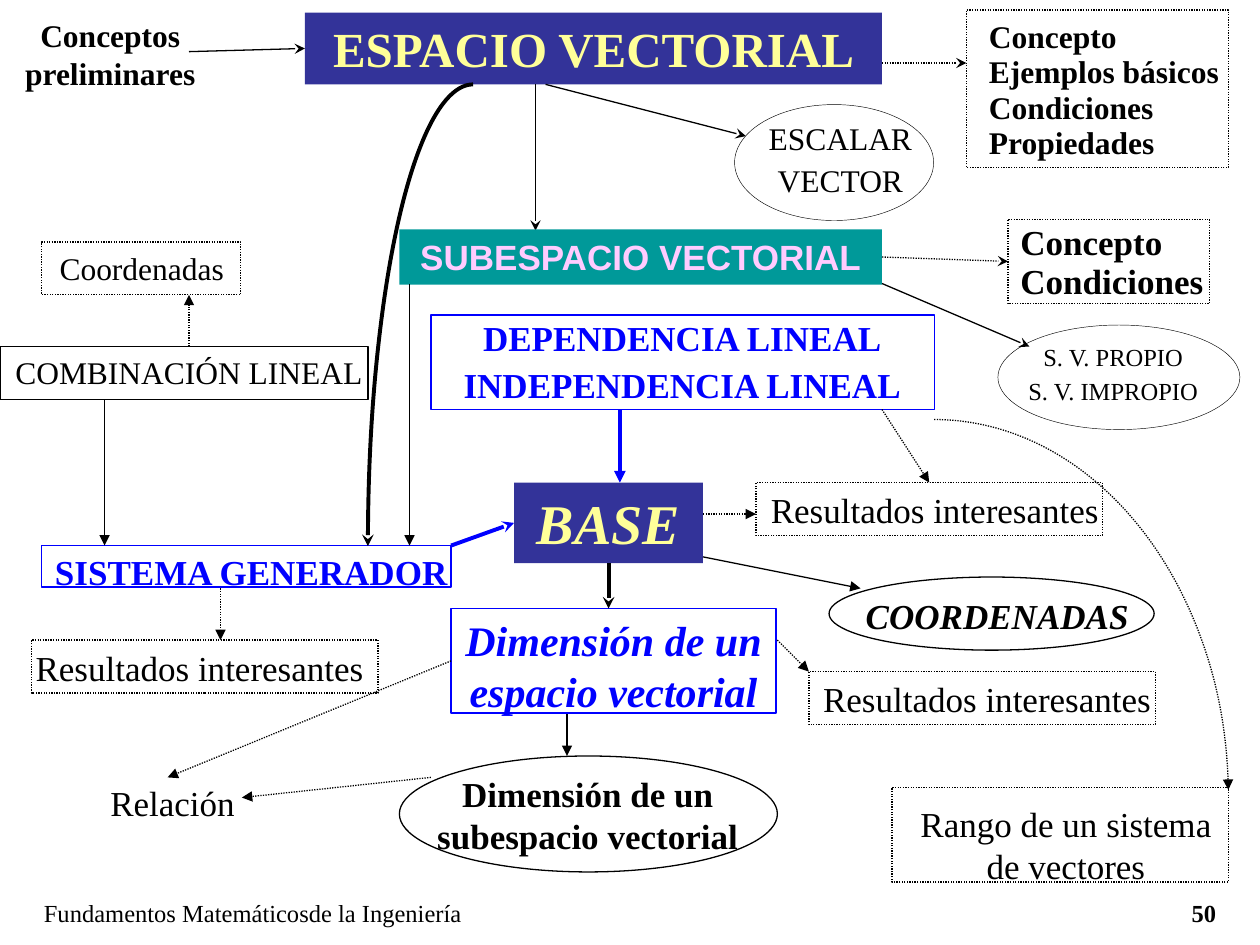
from dataclasses import dataclass
from typing import Any

from lxml.etree import SubElement
from pptx import Presentation
from pptx.dml.color import RGBColor
from pptx.enum.dml import MSO_LINE_DASH_STYLE as Dash
from pptx.enum.shapes import MSO_CONNECTOR as Connector, MSO_SHAPE as Shape
from pptx.enum.text import MSO_ANCHOR as Anchor, PP_ALIGN as Align
from pptx.oxml.ns import qn
from pptx.util import Inches, Pt

COLORS = {"navy": "333399", "teal": "009999", "yellow": "FFFF99",
          "pink": "FFCCFF", "blue": "0000FF", "black": "000000"}
SERIF = "Times New Roman"
TOP, LEFT, BOTTOM, RIGHT = range(4)
RESULTS = "Resultados interesantes"


def rgb(name):
    return RGBColor.from_string(COLORS[name])


def style_line(line, color="black", width=0.75, dotted=False):
    line.color.rgb = rgb(color)
    line.width = Pt(width)
    if dotted:
        line.dash_style = Dash.ROUND_DOT


def add_arrowhead(shape, end, kind):
    SubElement(shape.line._get_or_add_ln(), qn(f"a:{end}"), type=kind)


def write(box, lines, size=20, color="black", font=SERIF, bold=False, italic=False,
          align=Align.CENTER, spacing=None, before=0, anchor=Anchor.TOP, wrap=True):
    frame = box.text_frame
    frame.word_wrap = wrap
    frame.vertical_anchor = anchor
    for index, line in enumerate(lines):
        para = frame.paragraphs[0] if index == 0 else frame.add_paragraph()
        para.text = line
        para.alignment = align
        para.line_spacing = spacing
        para.space_before = Pt(before if index else 0)
        para.font.name = font
        para.font.size = Pt(size)
        para.font.bold = bold
        para.font.italic = italic
        para.font.color.rgb = rgb(color)


@dataclass
class Region:
    page: Any
    left: float
    top: float

    def place(self, left, top, width=0, height=0):
        return [Inches(round(value, 2)) for value in
                (self.left + left, self.top + top, width, height)]

    def text(self, at, *lines, **style):
        write(self.page.shapes.add_textbox(*self.place(*at)), lines, **style)

    def banner(self, at, line, fill, **style):
        banner = self.page.shapes.add_shape(Shape.RECTANGLE, *self.place(*at))
        banner.shadow.inherit = False
        banner.fill.solid()
        banner.fill.fore_color.rgb = rgb(fill)
        banner.line.fill.background()
        write(banner, [line], bold=True, **style)
        return banner

    def outline(self, at, kind=Shape.RECTANGLE, **line):
        outline = self.page.shapes.add_shape(kind, *self.place(*at))
        outline.shadow.inherit = False
        outline.fill.background()
        style_line(outline.line, **line)
        return outline

    def arrow(self, start, end, head="triangle", begin=None, finish=None, **line):
        arrow = self.page.shapes.add_connector(
            Connector.STRAIGHT, *self.place(*start)[:2], *self.place(*end)[:2])
        if begin:
            arrow.begin_connect(*begin)
        if finish:
            arrow.end_connect(*finish)
        style_line(arrow.line, **line)
        add_arrowhead(arrow, "tailEnd", head)
        SubElement(arrow._element.spPr, qn("a:effectLst"))

    def arc(self, at, angles, end, head, **line):
        arc = self.outline(at, Shape.ARC, **line)
        for index, degrees in enumerate(angles):
            arc.adjustments[index] = degrees * 0.6
        add_arrowhead(arc, end, head)


def draw_vector_space(page, left, top):
    region = Region(page, left, top)
    space = region.banner((2.42, 0.02, 4.58, 0.57), "ESPACIO VECTORIAL", "navy",
                          size=28, color="yellow")
    region.text((0, 0, 1.75, 0.7), "Conceptos preliminares", size=18, bold=True)
    region.arrow((1.5, 0.33), (2.42, 0.33), "stealth", finish=(space, LEFT))
    region.outline((7.67, 0, 2.08, 1.25), dotted=True)
    region.text((7.75, 0.16, 2.25, 1.06), "Concepto", "Ejemplos básicos", "Condiciones",
                "Propiedades", size=18, bold=True, align=Align.LEFT, spacing=0.4,
                before=11.4, anchor=Anchor.MIDDLE)
    region.arrow((7, 0.42), (7.67, 0.42), "stealth", dotted=True)
    region.outline((5.83, 0.75, 1.58, 0.92), Shape.OVAL, width=0.25)
    region.text((5.92, 0.92, 1.5, 0.62), "ESCALAR", "VECTOR", size=18, spacing=0.6,
                before=11.4)
    region.arrow((4.33, 0.59), (5.92, 1), "stealth")
    region.arrow((4.25, 0.59), (4.25, 1.75), "stealth")


def draw_subspace(page, left, top):
    region = Region(page, left, top)
    subspace = region.banner((0, 0.08, 3.83, 0.44), "SUBESPACIO VECTORIAL", "teal",
                             color="pink", font="Arial")
    topics = region.outline((4.83, 0, 1.6, 0.67), dotted=True)
    region.text((4.83, 0.13, 2.17, 0.55), "Concepto", "Condiciones", bold=True,
                align=Align.LEFT, spacing=0.4, before=12.6, anchor=Anchor.MIDDLE)
    region.arrow((3.83, 0.3), (4.83, 0.33), "stealth", (subspace, RIGHT),
                 (topics, LEFT), dotted=True)
    region.outline((4.75, 0.84, 1.92, 0.83), Shape.OVAL, width=0.25)
    region.text((4.88, 1.01, 1.57, 0.51), "S. V. PROPIO", "S. V. IMPROPIO", size=14,
                spacing=0.6, before=8.9, wrap=False)
    region.arrow((3.83, 0.51), (5, 1.01), "stealth")
    region.outline((0.25, 0.76, 4, 0.75), color="blue")
    region.text((0.33, 0.84, 3.83, 0.68), "DEPENDENCIA LINEAL", "INDEPENDENCIA LINEAL",
                color="blue", bold=True, spacing=0.6, before=12.6)


def draw_generators(page, left, top):
    region = Region(page, left, top)
    region.outline((0.33, 0, 1.58, 0.42), dotted=True)
    region.text((0.37, 0.01, 1.51, 0.4), "Coordenadas", size=18)
    region.outline((0, 0.83, 2.92, 0.42))
    region.text((0, 0.83, 3, 0.4), "COMBINACIÓN LINEAL", size=18)
    region.arrow((1.5, 0.83), (1.5, 0.42), dotted=True)
    region.outline((0.33, 2.41, 3.25, 0.33), color="blue")
    region.text((0.33, 2.4, 3.33, 0.44), "SISTEMA GENERADOR", color="blue", bold=True)
    region.arrow((0.83, 1.25), (0.83, 2.41))
    region.outline((0.25, 3.16, 2.75, 0.42), dotted=True)
    region.text((0, 3.16, 3.17, 0.44), RESULTS)
    region.arrow((1.75, 2.75), (1.75, 3.16), dotted=True)


def draw_base(page, left, top):
    region = Region(page, left, top)
    base = region.banner((0.91, 0, 1.5, 0.64), "BASE", "navy", size=32, color="yellow",
                         italic=True)
    results = region.outline((2.83, 0, 2.75, 0.42), dotted=True)
    region.text((2.75, 0, 3, 0.44), RESULTS)
    region.arrow((2.41, 0.25), (2.83, 0.25), dotted=True)
    region.outline((3.41, 0.75, 2.58, 0.58), Shape.OVAL)
    region.text((3.58, 0.84, 2.33, 0.44), "COORDENADAS", bold=True, italic=True)
    region.arrow((2.41, 0.59), (3.66, 0.84))
    return base, results


def draw_dimension(page, left, top):
    region = Region(page, left, top)
    dimension = region.outline((3, 0, 2.58, 0.83), color="blue")
    region.text((2.75, 0, 3.08, 0.9), "Dimensión de un espacio vectorial", size=24,
                color="blue", bold=True, italic=True)
    region.outline((5.84, 0.5, 2.75, 0.42), dotted=True)
    region.text((5.67, 0.5, 3.17, 0.44), RESULTS)
    region.arrow((5.59, 0.25), (5.84, 0.5), dotted=True)
    region.outline((2.59, 1.17, 3, 0.92), Shape.OVAL)
    region.text((2.5, 1.25, 3.17, 0.77), "Dimensión de un subespacio vectorial", bold=True)
    region.arrow((3.92, 0.84), (3.92, 1.17))
    region.text((0, 1.32, 1.58, 0.44), "Relación")
    region.arrow((3, 0.42), (0.75, 1.34), begin=(dimension, LEFT), dotted=True)
    region.arrow((2.84, 1.34), (1.34, 1.5), dotted=True)
    region.outline((6.5, 1.42, 2.67, 0.75), dotted=True)
    region.text((6.59, 1.49, 2.58, 0.77), "Rango de un sistema de vectores")


def draw_links(page, left, top, base, results):
    region = Region(page, left, top)
    region.arc((2.92, 0.67, 1.67, 7.33), (180, 270), "headEnd", "stealth", width=2.25)
    region.arc((5.08, 3.33, 4.67, 6), (270, 358.5), "tailEnd", "triangle", dotted=True)
    region.arrow((3.25, 2.25), (3.25, 4.33))
    region.arrow((4.92, 3.25), (4.92, 3.83), color="blue", width=2.25)
    region.arrow((7, 3.25), (7.42, 3.83), finish=(results, TOP), dotted=True)
    region.arrow((3.58, 4.33), (4.08, 4.17), "stealth", finish=(base, LEFT),
                 color="blue", width=2.25)
    region.arrow((4.83, 4.5), (4.83, 4.83), "stealth", begin=(base, BOTTOM), width=2.25)


def draw_footer(page, left, top):
    region = Region(page, left, top)
    region.text((0, 0, 6, 0.25), "Fundamentos Matemáticosde la Ingeniería", size=14,
                align=Align.LEFT)
    region.text((8.92, 0, 0.58, 0.25), "50", size=14, bold=True, align=Align.RIGHT)


def main():
    deck = Presentation()
    deck.slide_width, deck.slide_height = Inches(10), Inches(7.5)
    page = deck.slides.add_slide(deck.slide_layouts[6])
    draw_vector_space(page, 0, 0.08)
    draw_subspace(page, 3.17, 1.74)
    draw_generators(page, 0, 1.92)
    base, results = draw_base(page, 3.17, 3.83)
    draw_dimension(page, 0.58, 4.83)
    draw_links(page, 0, 0, base, results)
    draw_footer(page, 0.25, 7.08)
    deck.save("out.pptx")


if __name__ == "__main__":
    main()
